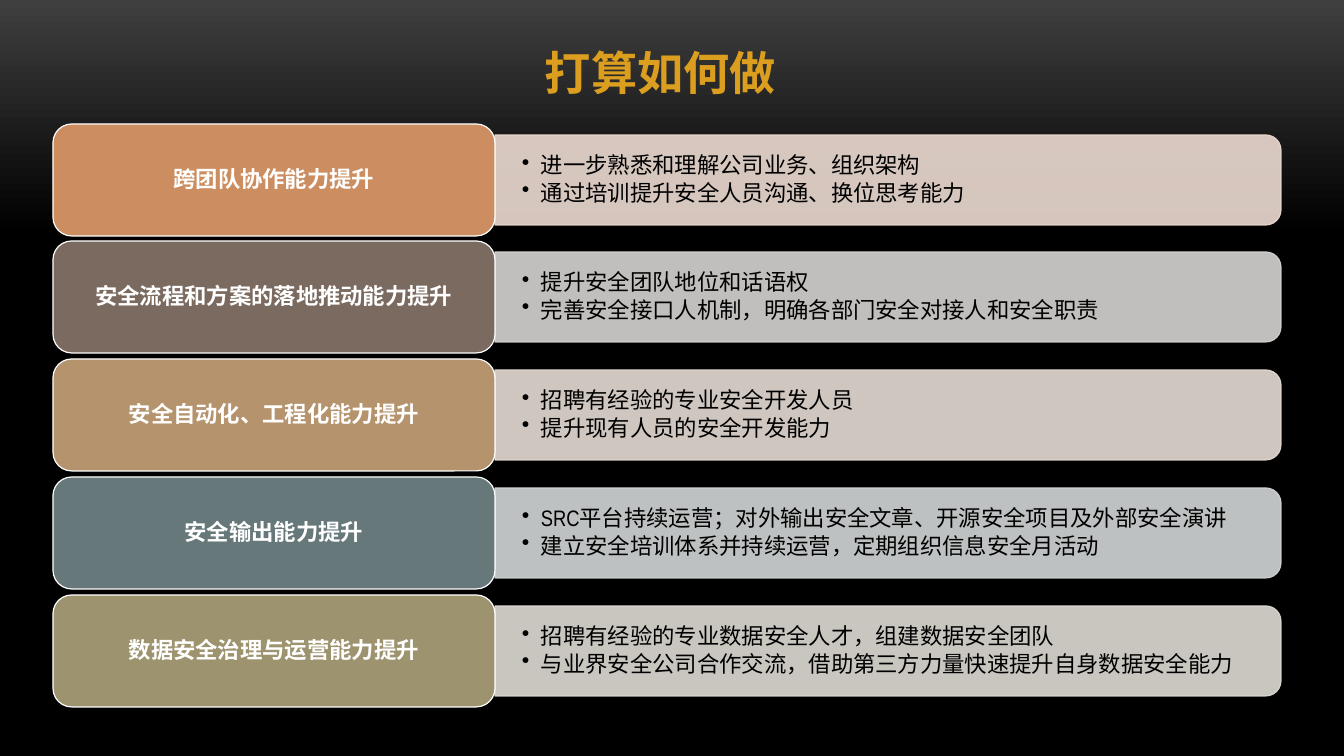
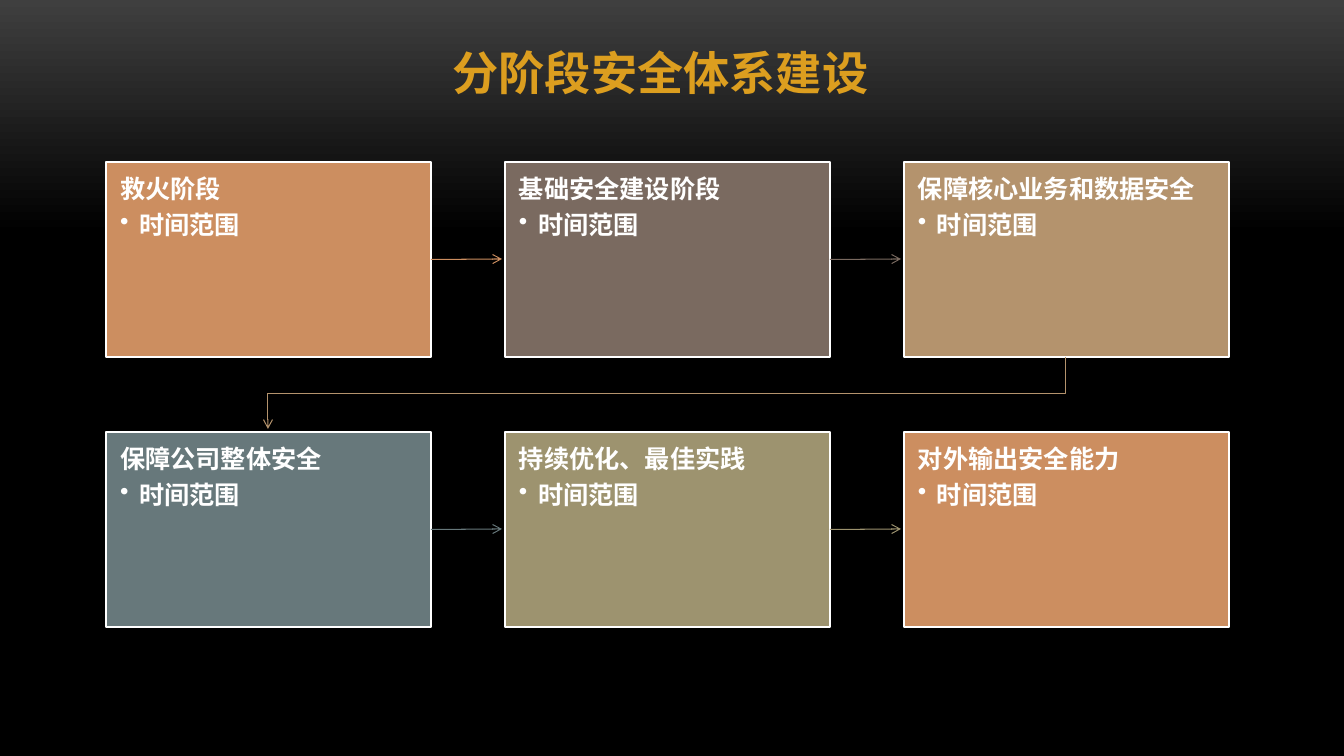
"""Build two slides on security capability planning and its phases."""
from dataclasses import dataclass

from pptx import Presentation
from pptx.dml.color import RGBColor
from pptx.enum.shapes import MSO_CONNECTOR, MSO_SHAPE
from pptx.enum.text import MSO_ANCHOR, PP_ALIGN
from pptx.oxml.ns import qn
from pptx.oxml.xmlchemy import OxmlElement
from pptx.util import Emu, Pt

RECTANGLE = MSO_SHAPE.RECTANGLE
ROUNDED = MSO_SHAPE.ROUNDED_RECTANGLE
ROUNDED_END = MSO_SHAPE.ROUND_2_SAME_RECTANGLE
STRAIGHT = MSO_CONNECTOR.STRAIGHT
LEFT, CENTER = PP_ALIGN.LEFT, PP_ALIGN.CENTER
TOP, MIDDLE = MSO_ANCHOR.TOP, MSO_ANCHOR.MIDDLE
RIGHT_SIDE = 3

SLIDE_W, SLIDE_H = 1344, 756
EMU_PER_PX = 12192000 / SLIDE_W


@dataclass(frozen=True)
class Theme:
    """Colours, fonts and type sizes shared by the slides."""

    glow: str = "3F3F3F"
    dark: str = "000000"
    light: str = "FFFFFF"
    gold: str = "DC9E1F"
    accents: tuple = ("CC8E60", "7A6A60", "B4936D", "67787B", "9D936F")
    tints: tuple = ("ECDBD2", "D7D4D2", "E5DCD4", "D3D6D7", "DFDCD5")
    cjk: str = "Noto Sans CJK SC"
    narrow: str = "Arial Narrow"
    title_size: int = 33
    row_size: int = 16
    phase_size: int = 18
    border: float = 0.85
    arrow: float = 0.75
    leading: float = 1.08
    bullet_indent: int = 19


THEME = Theme()

CAPABILITIES = (
    ("跨团队协作能力提升",
     ("进一步熟悉和理解公司业务、组织架构",
      "通过培训提升安全人员沟通、换位思考能力")),
    ("安全流程和方案的落地推动能力提升",
     ("提升安全团队地位和话语权",
      "完善安全接口人机制，明确各部门安全对接人和安全职责")),
    ("安全自动化、工程化能力提升",
     ("招聘有经验的专业安全开发人员",
      "提升现有人员的安全开发能力")),
    ("安全输出能力提升",
     ("SRC平台持续运营；对外输出安全文章、开源安全项目及外部安全演讲",
      "建立安全培训体系并持续运营，定期组织信息安全月活动")),
    ("数据安全治理与运营能力提升",
     ("招聘有经验的专业数据安全人才，组建数据安全团队",
      "与业界安全公司合作交流，借助第三方力量快速提升自身数据安全能力")),
)

PHASES = (
    "救火阶段", "基础安全建设阶段", "保障核心业务和数据安全",
    "保障公司整体安全", "持续优化、最佳实践", "对外输出安全能力",
)


def px(length):
    """Turn pixels into EMU."""
    return Emu(round(length * EMU_PER_PX))


def rgb(colour):
    """Turn a hex string into a colour."""
    return RGBColor.from_string(colour)


def set_line(line, colour, width):
    """Give a line its colour and width in points."""
    line.color.rgb = rgb(colour)
    line.width = Pt(width)


def add_block(slide, kind, box, fill, border):
    """Add a flat preset shape with a thin border."""
    block = slide.shapes.add_shape(kind, *map(px, box))
    block.shadow.inherit = False
    block.fill.solid()
    block.fill.fore_color.rgb = rgb(fill)
    set_line(block.line, border, THEME.border)
    return block


def write(shape, lines, margins, anchor):
    """Fill a shape with paragraphs and return them."""
    frame = shape.text_frame
    frame.word_wrap = True
    frame.vertical_anchor = anchor
    frame.margin_left = frame.margin_right = px(margins[0])
    frame.margin_top = frame.margin_bottom = px(margins[1])
    frame.text = "\n".join(lines)
    return frame.paragraphs


def style(paragraph, size, colour, font, bold=False, align=LEFT):
    """Format a paragraph and its runs."""
    paragraph.alignment = align
    for run in paragraph.runs:
        run.font.size = Pt(size)
        run.font.bold = bold
        run.font.color.rgb = rgb(colour)
        run.font.name = font
        east_asian = OxmlElement("a:ea")
        east_asian.set("typeface", THEME.cjk)
        run.font._element.append(east_asian)


def set_spacing(paragraph, size, after):
    """Set leading and space after in proportion to the type size."""
    paragraph.line_spacing = Pt(size * THEME.leading)
    paragraph.space_after = Pt(size * after)


def add_bullet(paragraph):
    """Give a paragraph a hanging round bullet."""
    properties = paragraph._p.get_or_add_pPr()
    properties.set("marL", str(px(THEME.bullet_indent)))
    properties.set("indent", str(px(-THEME.bullet_indent)))
    bullet = OxmlElement("a:buChar")
    bullet.set("char", "•")
    properties.append(bullet)


def add_arrowhead(line):
    """Put an open arrowhead at the end of a line."""
    head = OxmlElement("a:tailEnd")
    head.set("type", "arrow")
    line._get_or_add_ln().append(head)


def set_background(master):
    """Fade the master background from grey to black."""
    fill = master.background.fill
    fill.gradient()
    fill.gradient_angle = 270
    stops = zip(fill.gradient_stops, (THEME.glow, THEME.dark), (0, 0.31))
    for stop, colour, position in stops:
        stop.color.rgb = rgb(colour)
        stop.position = position


def add_titled_slide(prs, text):
    """Add a blank slide with its gold heading."""
    slide = prs.slides.add_slide(prs.slide_layouts[6])
    heading = slide.shapes.add_textbox(*map(px, (387, 39, 547, 67)))
    for paragraph in write(heading, [text], (5, 5), MIDDLE):
        style(paragraph, THEME.title_size, THEME.gold, THEME.cjk, True, CENTER)
    return slide


def add_panel(slide, box, tint, actions):
    """Add a translucent panel, rounded on the right, with its actions."""
    left, top, width, height = box
    shift = (width - height) // 2
    upright = (left + shift, top - shift, height, width)
    panel = add_block(slide, ROUNDED_END, upright, tint, tint)
    panel.rotation = 90
    for colour in panel._element.spPr.iter(qn("a:srgbClr")):
        alpha = OxmlElement("a:alpha")
        alpha.set("val", "90000")
        colour.append(alpha)
    body = slide.shapes.add_textbox(*map(px, box))
    for paragraph in write(body, actions, (27, 14), MIDDLE):
        style(paragraph, THEME.row_size, THEME.dark, THEME.narrow)
        set_spacing(paragraph, THEME.row_size, 0.15)
        add_bullet(paragraph)


def add_label(slide, box, accent, text):
    """Add the rounded label that names a capability."""
    label = add_block(slide, ROUNDED, box, accent, THEME.light)
    for paragraph in write(label, [text], (13, 9), MIDDLE):
        style(paragraph, THEME.row_size, THEME.light, THEME.narrow, True, CENTER)
        paragraph.line_spacing = 0.9


def add_phase(slide, box, accent, name):
    """Add a phase card with its name and time range."""
    card = add_block(slide, RECTANGLE, box, accent, THEME.light)
    name_line, range_line = write(card, [name, "时间范围"], (14, 14), TOP)
    for paragraph, after in ((name_line, 0.35), (range_line, 0.15)):
        style(paragraph, THEME.phase_size, THEME.light, THEME.cjk, True)
        set_spacing(paragraph, THEME.phase_size, after)
    add_bullet(range_line)
    return card


def add_step_arrow(slide, card, start, end, accent):
    """Add a straight arrow from the right side of a card."""
    arrow = slide.shapes.add_connector(STRAIGHT, *map(px, start + end))
    arrow.begin_connect(card, RIGHT_SIDE)
    set_line(arrow.line, accent, THEME.arrow)
    add_arrowhead(arrow.line)
    arrow._element.spPr.append(OxmlElement("a:effectLst"))


def add_turn_arrow(slide, points, accent):
    """Add a bent arrow through the given points."""
    start, *corners = [tuple(map(px, point)) for point in points]
    builder = slide.shapes.build_freeform(*start)
    builder.add_line_segments(corners, close=False)
    arrow = builder.convert_to_shape()
    arrow.shadow.inherit = False
    arrow.fill.background()
    set_line(arrow.line, accent, THEME.arrow)
    add_arrowhead(arrow.line)


def build_capabilities(prs):
    """Build the slide of capabilities and planned actions."""
    slide = add_titled_slide(prs, "打算如何做")
    first_top, last_top = 124, 595
    rows = zip(CAPABILITIES, THEME.accents, THEME.tints)
    for index, ((name, actions), accent, tint) in enumerate(rows):
        top = first_top + index * (last_top - first_top) // (len(CAPABILITIES) - 1)
        add_panel(slide, (495, top + 11, 786, 90), tint, actions)
        add_label(slide, (53, top, 442, 112), accent, name)


def build_phases(prs):
    """Build the slide of phases joined by arrows."""
    slide = add_titled_slide(prs, "分阶段安全体系建设")
    columns, width, height = 3, 325, 195
    left, top, step_x, step_y, gap = 106, 162, 399, 270, 3
    for index, name in enumerate(PHASES):
        row, column = divmod(index, columns)
        x, y = left + column * step_x, top + row * step_y
        accent = THEME.accents[index % len(THEME.accents)]
        card = add_phase(slide, (x, y, width, height), accent, name)
        if column < columns - 1:
            middle = y + height // 2
            add_step_arrow(slide, card, (x + width, middle),
                           (x + step_x - gap, middle), accent)
        elif index < len(PHASES) - 1:
            start_x, end_x = x + width // 2, left + width // 2
            bottom, next_top = y + height, y + step_y
            turn = (bottom + next_top) // 2
            add_turn_arrow(slide, ((start_x, bottom), (start_x, turn),
                                   (end_x, turn), (end_x, next_top - gap)), accent)


def main():
    """Build and save the presentation."""
    prs = Presentation()
    prs.slide_width, prs.slide_height = px(SLIDE_W), px(SLIDE_H)
    set_background(prs.slide_master)
    build_capabilities(prs)
    build_phases(prs)
    prs.save("out.pptx")


if __name__ == "__main__":
    main()
